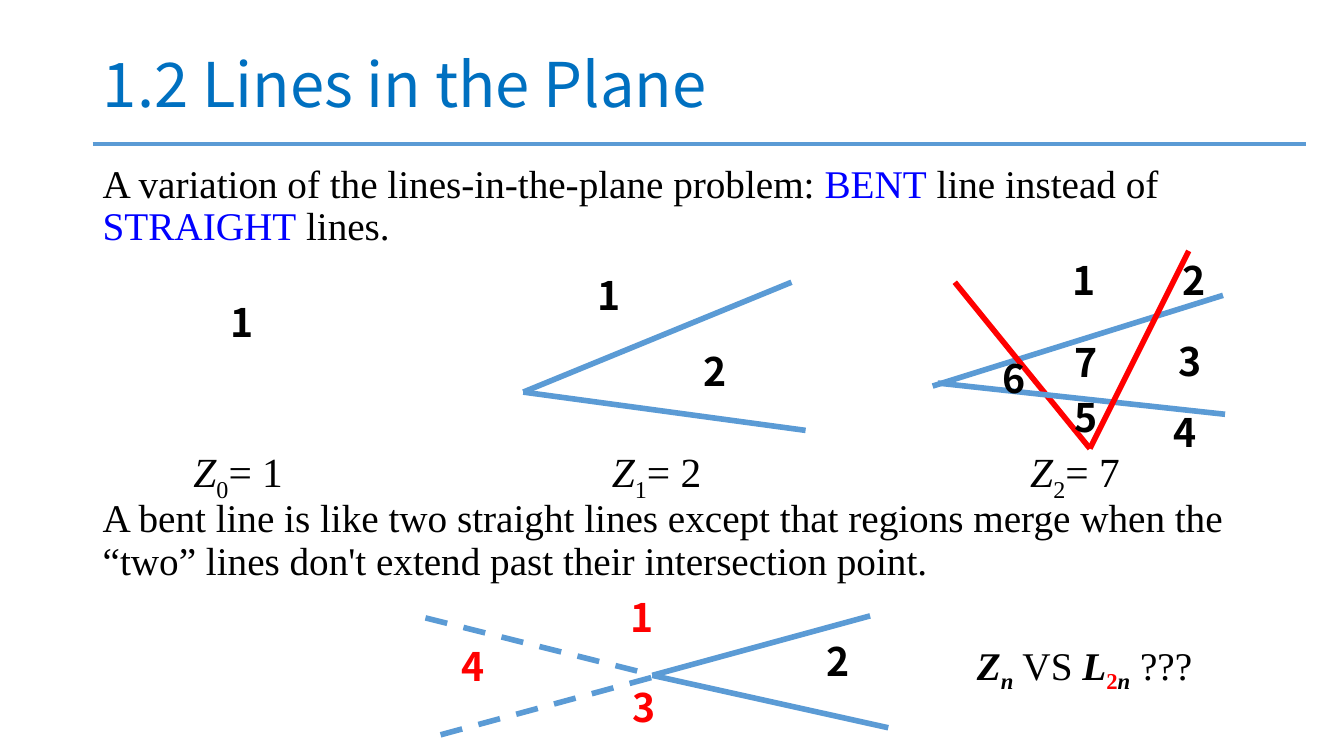
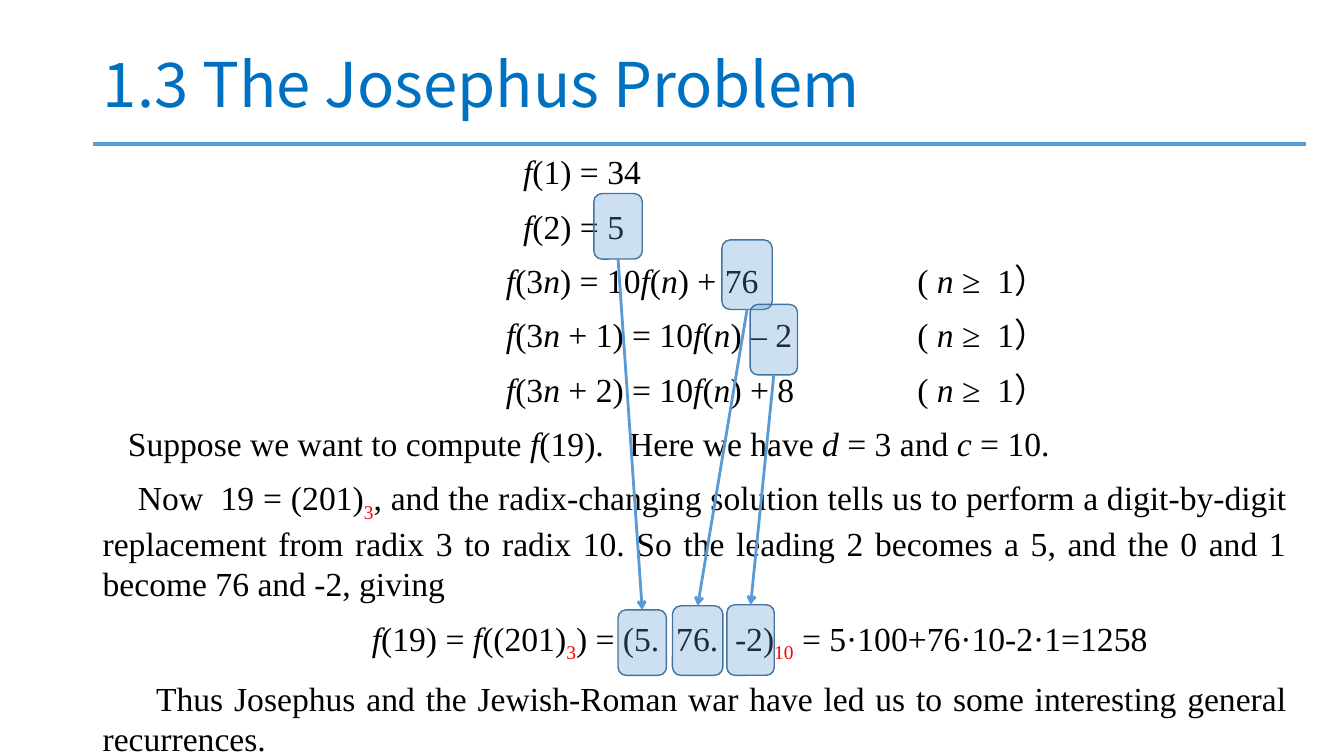
from lxml.etree import SubElement
from pptx import Presentation
from pptx.dml.color import RGBColor
from pptx.enum.dml import MSO_LINE
from pptx.enum.shapes import MSO_CONNECTOR, MSO_SHAPE
from pptx.enum.text import MSO_ANCHOR, MSO_AUTO_SIZE, PP_ALIGN
from pptx.oxml.ns import qn
from pptx.util import Inches, Pt

BLACK = RGBColor(0x00, 0x00, 0x00)
RED = RGBColor(0xFF, 0x00, 0x00)
BLUE = RGBColor(0x00, 0x00, 0xFF)
TITLE_BLUE = RGBColor(0x00, 0x70, 0xC0)
LINE_BLUE = RGBColor(0x5B, 0x9B, 0xD5)
EDGE_BLUE = RGBColor(0x43, 0x73, 0x9E)
SANS, SERIF = "Noto Sans CJK SC", "Times New Roman"
LEFT = 0.92
TITLE_ONLY = 5

# A run is (text, marks): b bold, i italic, s subscript, r red, u blue,
# w widened by 6 points a letter for each w.
VARIATION = [("A variation of the lines-in-the-plane problem: ", ""), ("BENT", "u"),
             (" line instead of ", ""), ("STRAIGHT", "u"), (" lines.", "")]
MERGING = [("A bent line is like two straight lines except that regions merge when the "
            "“two” lines don't extend past their intersection point.", "")]
COMPARISON = [("Z", "bi"), ("n", "bis"), (" VS ", ""), ("L", "bi"), ("2", "brs"),
              ("n", "bis"), (" ???", "")]
REGION_COUNTS = [1, 2, 7]

# (start, end, colour, dashed)
BENT_LINES = [
    ((5.19, 3.89), (7.85, 2.8), LINE_BLUE, False),
    ((5.19, 3.89), (7.99, 4.27), LINE_BLUE, False),
    ((9.25, 3.83), (12.13, 2.93), LINE_BLUE, False),
    ((9.47, 2.8), (10.81, 4.45), RED, False),
    ((9.3, 3.8), (12.15, 4.11), LINE_BLUE, False),
    ((11.79, 2.49), (10.81, 4.45), RED, False),
    ((6.47, 6.7), (8.63, 6.11), LINE_BLUE, False),
    ((6.47, 6.7), (8.81, 7.22), LINE_BLUE, False),
    ((4.37, 7.29), (6.54, 6.7), LINE_BLUE, True),
    ((4.22, 6.13), (6.53, 6.71), LINE_BLUE, True),
]
# (number, left, top, marks)
REGION_NUMBERS = [
    ("1", 2.19, 2.91, "b"),
    ("1", 5.83, 2.64, "b"), ("2", 6.88, 3.4, "b"),
    ("1", 10.54, 2.49, "b"), ("2", 11.63, 2.49, "b"), ("3", 11.59, 3.3, "b"),
    ("4", 11.54, 4, "b"), ("5", 10.56, 3.85, "b"), ("6", 9.84, 3.47, "b"),
    ("7", 10.56, 3.31, "b"),
    ("1", 6.16, 5.84, "br"), ("2", 8.1, 6.27, "b"), ("3", 6.18, 6.73, "br"),
    ("4", 4.48, 6.32, "br"),
]


def recurrence(offset, constant):
    return [("f", "i"), ("(3", ""), ("n", "i"), (f"{offset}) = 10", ""), ("f", "i"),
            ("(", ""), ("n", "i"), (f") {constant}", "")]


# (first-line indent, justified, runs)
JOSEPHUS = [
    (4.17, False, [("f", "i"), ("(1) = 34", "")]),
    (4.17, False, [("f", "i"), ("(2) = 5", "")]),
    (4, False, recurrence("", "+ 76")),
    (4, False, recurrence(" + 1", "– 2")),
    (4, False, recurrence(" + 2", "+ 8")),
    (0.25, False, [("Suppose we want to compute ", ""), ("f", "i"), ("(19).", ""),
                   (" ", "ww"), ("Here we have ", ""), ("d", "i"), (" = 3 and ", ""),
                   ("c", "i"), (" = 10.", "")]),
    (0.35, True, [("Now", ""), (" ", "w"), ("19 = (201)", ""), ("3", "rs"),
                  (", and the radix-changing solution tells us to perform a "
                   "digit-by-digit replacement from radix 3 to radix 10. So the "
                   "leading 2 becomes a 5, and the 0 and 1 become 76 and -2, "
                   "giving", "")]),
    (2.67, False, [("f", "i"), ("(19) = ", ""), ("f", "i"), ("((201)", ""), ("3", "rs"),
                   (") = (5.", ""), (" ", "w"), ("76.", ""), (" ", "w"), ("-2)", ""),
                   ("10", "rs"), (" = 5·100+76·10-2·1=1258", "")]),
    (0.53, True, [("Thus Josephus and the Jewish-Roman war have led us to some "
                   "interesting general recurrences.", "")]),
]
CONDITION = [("( ", ""), ("n ", "i"), ("≥", ""), (" ", "w"), ("1）", "")]
CONDITIONS = [(0, False, CONDITION)] * 3

# (size, place of the constant, place of the digit it becomes)
DIGIT_MARKS = [
    ((0.48, 0.65), (5.89, 1.92), (6.13, 6.05)),
    ((0.5, 0.69), (7.16, 2.38), (6.67, 6.01)),
    ((0.47, 0.7), (7.44, 3.02), (7.21, 6)),
]


def add_runs(para, runs, size, font=SERIF):
    for text, marks in runs:
        span = para.add_run()
        span.text = text
        span.font.name, span.font.size = font, Pt(size)
        span.font.bold, span.font.italic = "b" in marks, "i" in marks
        span.font.color.rgb = RED if "r" in marks else BLUE if "u" in marks else BLACK
        if "s" in marks:
            span.font._element.set("baseline", "-25000")
        if "w" in marks:
            span.font._element.set("spc", str(600 * marks.count("w")))


def add_box(page, place):
    frame = page.shapes.add_textbox(*map(Inches, place)).text_frame
    frame.word_wrap = True
    return frame


def add_text(page, place, runs, size=28, font=SERIF, spacing=1.0):
    para = add_box(page, place).paragraphs[0]
    para.line_spacing = spacing
    add_runs(para, runs, size, font)


def add_rows(page, place, rows):
    """Add a box with one paragraph a row, each with its own first-line indent."""
    frame = add_box(page, place)
    for index, (indent, justified, runs) in enumerate(rows):
        para = frame.add_paragraph() if index else frame.paragraphs[0]
        props = para._p.get_or_add_pPr()
        props.set("marL", "0")
        props.set("indent", str(Inches(indent)))
        para.alignment = PP_ALIGN.JUSTIFY if justified else PP_ALIGN.LEFT
        para.space_before = Pt(10 if index else 0)
        add_runs(para, runs, 24)


def add_line(page, start, end, color, width):
    line = page.shapes.add_connector(MSO_CONNECTOR.STRAIGHT, *map(Inches, start + end))
    line.line.color.rgb, line.line.width = color, Pt(width)
    SubElement(line.element.spPr, qn("a:effectLst"))
    return line


def add_page(deck, title):
    page = deck.slides.add_slide(deck.slide_layouts[TITLE_ONLY])
    head = page.shapes.title
    head.left, head.top, head.width, head.height = map(Inches, (LEFT, 0.14, 11.5, 1.45))
    frame = head.text_frame
    frame.auto_size, frame.vertical_anchor = MSO_AUTO_SIZE.NONE, MSO_ANCHOR.MIDDLE
    para = frame.paragraphs[0]
    para.alignment, para.line_spacing = PP_ALIGN.LEFT, 0.9
    add_runs(para, [(title, "")], 44, SANS)
    para.runs[0].font.color.rgb = TITLE_BLUE
    add_line(page, (LEFT, 1.43), (12.95, 1.43), LINE_BLUE, 3)
    return page


def add_mark(page, place, size):
    mark = page.shapes.add_shape(MSO_SHAPE.ROUNDED_RECTANGLE, *map(Inches, place + size))
    mark.shadow.inherit = False
    mark.fill.solid()
    mark.fill.fore_color.rgb = LINE_BLUE
    color = mark.element.spPr.find(qn("a:solidFill")).find(qn("a:srgbClr"))
    SubElement(color, qn("a:alpha"), val="30000")
    mark.line.color.rgb, mark.line.width = EDGE_BLUE, Pt(1)
    return mark


def build_bent_lines(deck):
    page = add_page(deck, "1.2 Lines in the Plane")
    add_text(page, (LEFT, 1.58, 12.08, 1.18), VARIATION, spacing=0.9)
    add_text(page, (LEFT, 4.9, 12.08, 1.18), MERGING, spacing=0.9)
    for index, count in enumerate(REGION_COUNTS):
        runs = [("Z", "i"), (str(index), "s"), (f"= {count}", "")]
        add_text(page, (1.82 + 4.15 * index, 4.38, 1.37, 0.56), runs, 29.6)
    for start, end, color, dashed in BENT_LINES:
        line = add_line(page, start, end, color, 4)
        if dashed:
            line.line.dash_style = MSO_LINE.DASH
    for number, left, top, marks in REGION_NUMBERS:
        add_text(page, (left, top, 0.5, 0.57), [(number, marks)], font=SANS)
    add_text(page, (9.59, 6.31, 2.92, 0.57), COMPARISON)


def build_josephus(deck):
    page = add_page(deck, "1.3 The Josephus Problem")
    add_rows(page, (LEFT, 1.45, 11.94, 5.91), JOSEPHUS)
    add_rows(page, (9, 2.53, 2, 1.6), CONDITIONS)
    for size, constant_place, digit_place in DIGIT_MARKS:
        constant = add_mark(page, constant_place, size)
        digit = add_mark(page, digit_place, size)
        arrow = add_line(page, (0, 0), (1, 1), LINE_BLUE, 2)
        arrow.begin_connect(constant, 2)
        arrow.end_connect(digit, 0)
        SubElement(arrow.line._get_or_add_ln(), qn("a:tailEnd"), type="arrow")


def main():
    deck = Presentation()
    deck.slide_width, deck.slide_height = Inches(13.33), Inches(7.5)
    build_bent_lines(deck)
    build_josephus(deck)
    deck.save("out.pptx")


if __name__ == "__main__":
    main()
